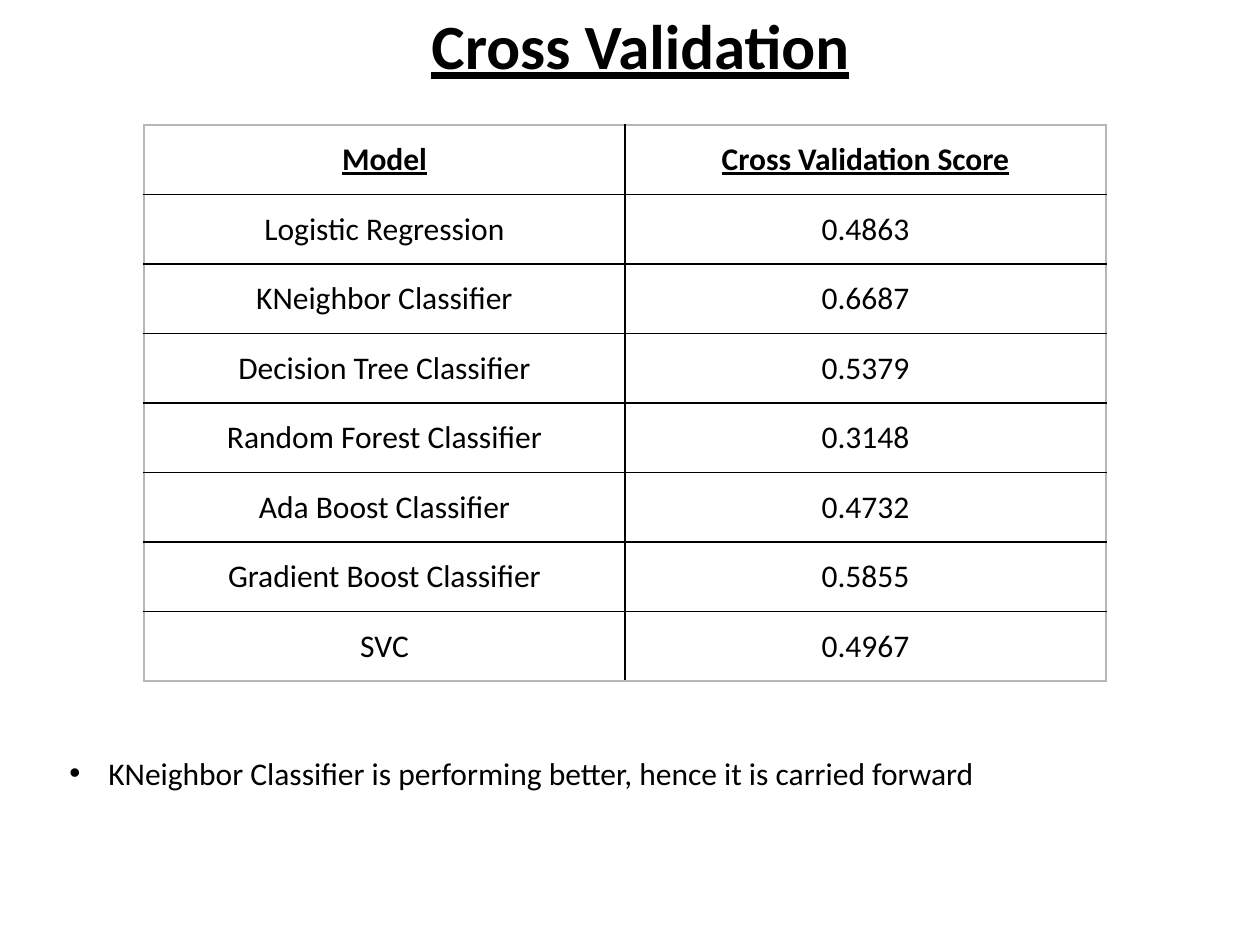
from lxml.etree import SubElement
from pptx import Presentation
from pptx.dml.color import RGBColor
from pptx.enum.text import MSO_ANCHOR, PP_ALIGN
from pptx.oxml.ns import qn
from pptx.util import Emu, Pt

EMU_PER_PX = 914400 / 126
BLACK, GREY = "000000", "B7B7B7"
SCORES = [
    ("Model", "Cross Validation Score"),
    ("Logistic Regression", "0.4863"),
    ("KNeighbor Classifier", "0.6687"),
    ("Decision Tree Classifier", "0.5379"),
    ("Random Forest Classifier", "0.3148"),
    ("Ada Boost Classifier", "0.4732"),
    ("Gradient Boost Classifier", "0.5855"),
    ("SVC", "0.4967"),
]


def px(length):
    return Emu(round(length * EMU_PER_PX))


def color(hex_value):
    return RGBColor.from_string(hex_value)


def write(frame, text, size=18, heading=False, align=PP_ALIGN.CENTER):
    """Put one formatted paragraph in a text frame; headings are bold and underlined."""
    frame.word_wrap = True
    paragraph = frame.paragraphs[0]
    paragraph.alignment = align
    run = paragraph.add_run()
    run.text = text
    font = run.font
    font.name, font.size = "Calibri", Pt(size)
    font.bold = font.underline = heading
    font.color.rgb = color(BLACK)
    return paragraph


def add_title(slide, left, top, width, height):
    title = slide.shapes.add_textbox(px(left), px(top), px(width), px(height))
    write(title.text_frame, "Cross Validation", size=36, heading=True)


def set_borders(cell, edges):
    """Draw 1 pt cell borders, with edges mapping L, R, T, B to a colour."""
    properties = cell._tc.get_or_add_tcPr()
    for side, hex_value in edges.items():
        line = SubElement(properties, qn(f"a:ln{side}"), w=str(Pt(1)))
        fill = SubElement(line, qn("a:solidFill"))
        SubElement(fill, qn("a:srgbClr"), val=hex_value)


def add_score_table(slide, left, top, width, height):
    row_count, column_count = len(SCORES), len(SCORES[0])
    table = slide.shapes.add_table(
        row_count, column_count, px(left), px(top), px(width), px(height)
    ).table
    table.first_row = table.horz_banding = False
    for row in table.rows:
        row.height = px(height / row_count)
    for column in table.columns:
        column.width = px(width / column_count)

    for r, entries in enumerate(SCORES):
        for c, entry in enumerate(entries):
            cell = table.cell(r, c)
            cell.vertical_anchor = MSO_ANCHOR.MIDDLE
            write(cell.text_frame, entry, heading=r == 0)
            outer = {"L": c == 0, "R": c == column_count - 1,
                     "T": r == 0, "B": r == row_count - 1}
            set_borders(cell, {side: GREY if is_outer else BLACK
                               for side, is_outer in outer.items()})
            cell.fill.background()


def add_conclusion(slide, left, top, width, height):
    conclusion = slide.shapes.add_textbox(px(left), px(top), px(width), px(height))
    paragraph = write(
        conclusion.text_frame,
        "KNeighbor Classifier is performing better, hence it is carried forward",
        align=PP_ALIGN.LEFT,
    )
    properties = paragraph._p.get_or_add_pPr()
    indent = px(39)
    properties.set("marL", str(indent))
    properties.set("indent", str(-indent))
    SubElement(properties, qn("a:buFont"), typeface="Arial")
    SubElement(properties, qn("a:buChar"), char="•")


def main():
    presentation = Presentation()
    presentation.slide_width, presentation.slide_height = px(1260), px(945)
    slide = presentation.slides.add_slide(presentation.slide_layouts[6])
    add_title(slide, 224, 0, 833, 89)
    add_score_table(slide, 144, 125, 962, 556)
    add_conclusion(slide, 57, 748, 1181, 50)
    presentation.save("out.pptx")


if __name__ == "__main__":
    main()
